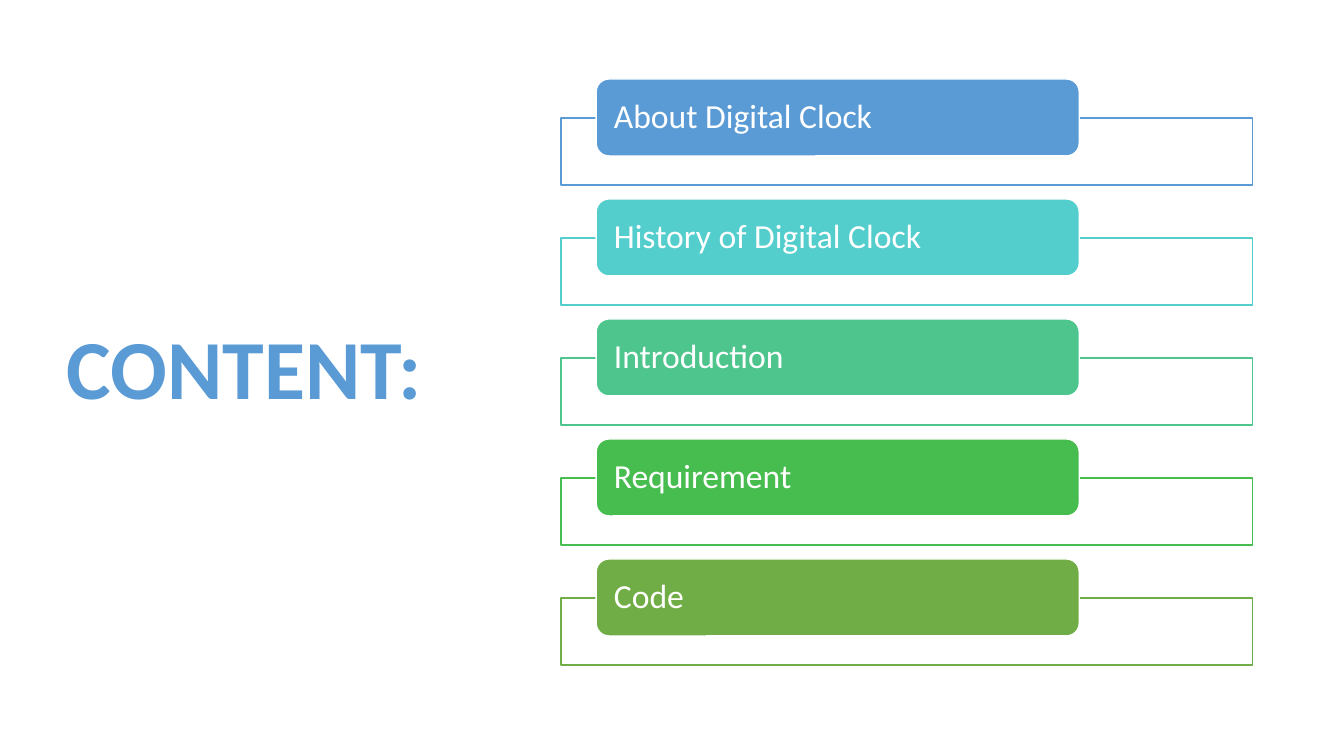
from pptx import Presentation
from pptx import util as u
from pptx.dml.color import RGBColor
from pptx.enum import shapes, text
from pptx.oxml.ns import qn
from lxml import etree

PX = 914400 / 100.8
WHITE = RGBColor(0xFF, 0xFF, 0xFF)
BLUE = RGBColor(0x5B, 0x9B, 0xD5)
TURQUOISE = RGBColor(0x54, 0xCD, 0xCD)
MINT = RGBColor(0x4D, 0xC5, 0x8D)
GREEN = RGBColor(0x47, 0xBC, 0x4F)
OLIVE = RGBColor(0x71, 0xAD, 0x47)

TOPICS = [
    ("About Digital Clock", BLUE),
    ("History of Digital Clock", TURQUOISE),
    ("Introduction", MINT),
    ("Requirement", GREEN),
    ("Code", OLIVE),
]
FIRST_TOP = 79
ROW_PITCH = 120


class ContentPage:
    """Draws the elements of a contents slide in one shared style."""

    font_name = "Calibri"

    def __init__(self, deck):
        self.page = deck.slides.add_slide(deck.slide_layouts[6])

    def px(self, *lengths):
        return [u.Emu(round(length * PX)) for length in lengths]

    def set_words(self, box, words, size, color, inset, bold=False):
        frame = box.text_frame
        frame.word_wrap = True
        frame.vertical_anchor = text.MSO_ANCHOR.MIDDLE
        frame.margin_left, frame.margin_right = self.px(inset, inset)
        frame.margin_top = frame.margin_bottom = 0
        para = frame.paragraphs[0]
        para.text = words
        para.alignment = text.PP_ALIGN.LEFT
        para.line_spacing = 0.9
        para.font.name = self.font_name
        para.font.size = u.Pt(size)
        para.font.bold = bold
        para.font.color.rgb = color

    def title(self, words, *place):
        box = self.page.shapes.add_textbox(*self.px(*place))
        self.set_words(box, words, 60, BLUE, inset=10, bold=True)

    def panel(self, kind, fill, line, *place):
        box = self.page.shapes.add_shape(kind, *self.px(*place))
        box.shadow.inherit = False
        box.fill.solid()
        box.fill.fore_color.rgb = fill
        box.line.color.rgb = line
        box.line.width = u.Pt(1)
        return box

    def topic(self, words, color, top):
        frame = self.panel(shapes.MSO_SHAPE.RECTANGLE, WHITE, color, 561, top + 39, 691, 67)
        tint = frame.element.spPr.find(qn("a:solidFill"))[0]
        etree.SubElement(tint, qn("a:alpha")).set("val", "90000")
        label = self.panel(shapes.MSO_SHAPE.ROUNDED_RECTANGLE, color, WHITE, 596, top, 483, 77)
        self.set_words(label, words, 24, WHITE, inset=14)


def main():
    deck = Presentation()
    deck.slide_width, deck.slide_height = u.Inches(13.33), u.Inches(7.5)
    content = ContentPage(deck)
    content.title("CONTENT:", 57, 69, 419, 607)
    for row, (words, color) in enumerate(TOPICS):
        content.topic(words, color, FIRST_TOP + row * ROW_PITCH)
    deck.save("out.pptx")


if __name__ == "__main__":
    main()
